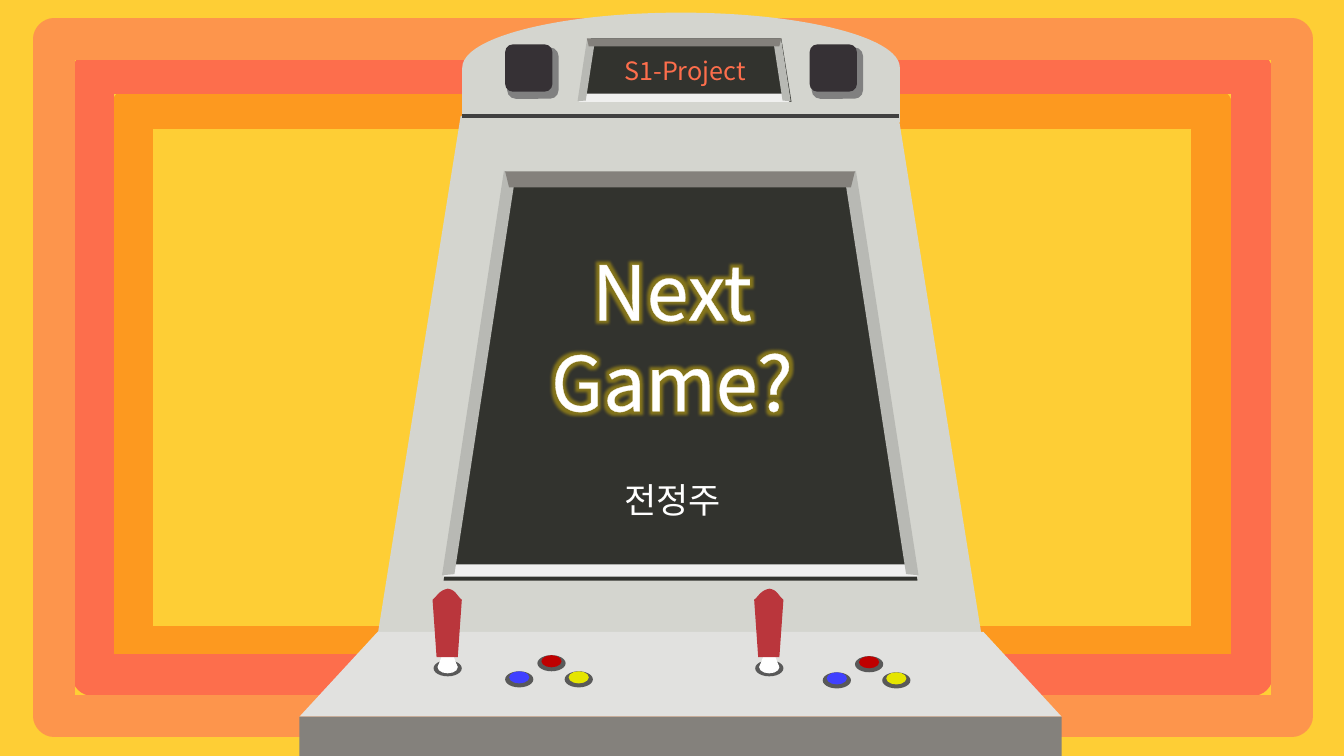
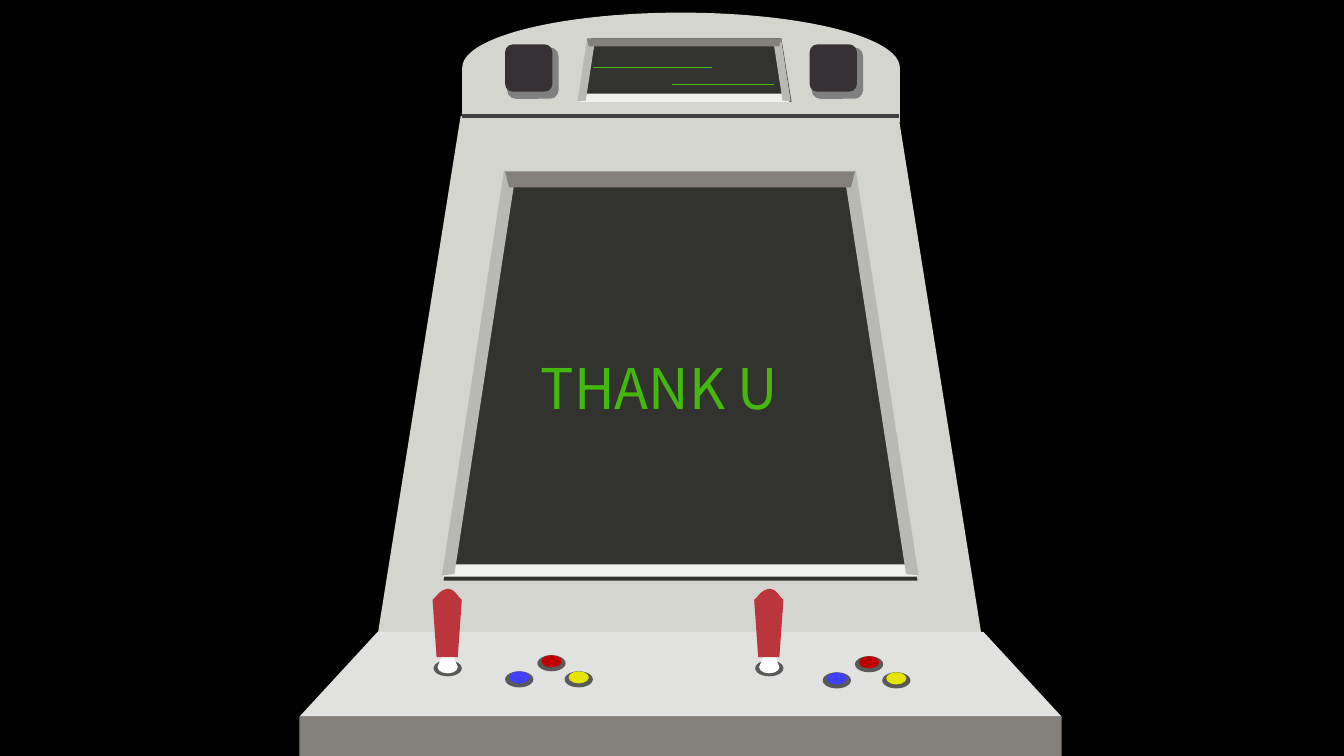
from lxml import etree
from pptx import Presentation
from pptx import util as u
from pptx.dml.color import RGBColor
from pptx.enum import shapes, text
from pptx.oxml import ns

COLORS = {
    "yellow": "FECE35", "amber": "FD991F", "coral": "FD6E4C", "orange": "FD954C",
    "black": "000000", "white": "FFFFFF", "green": "44B80D", "cream": "FAF3DB",
    "glow": "FFD700", "cabinet": "D4D5CF", "screen": "32332E", "seam": "404040",
    "ledge": "F0F0EF", "side": "B8B9B4", "shade": "84817C", "panel": "E1E1DF",
    "socket": "595959", "stick": "BA363C", "red": "BF0000", "lemon": "E5E500",
    "blue": "4040FF", "speaker": "363135", "speaker_shade": "808080",
}
FONT = "Noto Sans CJK KR"
TITLE_ONLY = 5
SHAPE = shapes.MSO_SHAPE


def color(name):
    return RGBColor.from_string(COLORS[name])


def curve(start, first, second, end, steps=10):
    for step in range(1, steps + 1):
        t = step / steps
        weights = ((1 - t) ** 3, 3 * t * (1 - t) ** 2, 3 * t * t * (1 - t), t ** 3)
        yield tuple(sum(w * point[axis] for w, point in zip(weights, (start, first, second, end)))
                    for axis in (0, 1))


class Arcade:
    def __init__(self):
        self.deck = Presentation()
        self.deck.slide_width = u.Inches(13.33)
        self.deck.slide_height = u.Inches(7.5)
        self.page = None

    def new_page(self, background):
        self.page = self.deck.slides.add_slide(self.deck.slide_layouts[TITLE_ONLY])
        fill = self.page.background.fill
        fill.solid()
        fill.fore_color.rgb = color(background)

    def shape(self, kind, at, fill, adjust=None, rotation=0, flip=None):
        box = self.page.shapes.add_shape(kind, *map(u.Inches, at))
        self.paint(box, fill)
        if adjust is not None:
            box.adjustments[0] = adjust
        box.rotation = rotation
        if flip:
            box.element.spPr.find(ns.qn("a:xfrm")).set(flip, "1")
        return box

    def paint(self, box, fill):
        box.shadow.inherit = False
        box.fill.solid()
        box.fill.fore_color.rgb = color(fill)
        box.line.fill.background()

    def frame(self, at, stroke):
        box = self.shape(SHAPE.RECTANGLE, at, stroke)
        box.fill.background()
        box.line.color.rgb = color(stroke)
        box.line.width = u.Pt(30)
        etree.SubElement(box.element.spPr.find(ns.qn("a:ln")), ns.qn("a:round"))

    def line(self, left, right, y, stroke, width):
        line = self.page.shapes.add_connector(
            shapes.MSO_CONNECTOR.STRAIGHT, *map(u.Inches, (left, y, right, y)))
        line.line.color.rgb = color(stroke)
        line.line.width = u.Pt(width)
        etree.SubElement(line.element.spPr, ns.qn("a:effectLst"))

    def set_text(self, box, words, size, ink):
        frame = box.text_frame
        frame.text = words
        frame.word_wrap = True
        frame.auto_size = text.MSO_AUTO_SIZE.NONE
        frame.vertical_anchor = text.MSO_ANCHOR.TOP
        for para in frame.paragraphs:
            para.alignment = text.PP_ALIGN.CENTER
            for span in para.runs:
                span.font.size = u.Pt(size)
                span.font.name = FONT
                span.font.color.rgb = color(ink)
                east = etree.SubElement(span.font._element, ns.qn("a:ea"))
                east.set("typeface", FONT)

    def label(self, at, words, size, ink):
        box = self.page.shapes.add_textbox(*map(u.Inches, at))
        self.set_text(box, words, size, ink)

    def title(self, at, words, size, ink):
        box = self.page.shapes.title
        box.left, box.top, box.width, box.height = map(u.Inches, at)
        box.element.getparent().append(box.element)
        self.set_text(box, words, size, ink)
        return box

    def neon(self, box):
        for para in box.text_frame.paragraphs:
            for span in para.runs:
                props = span.font._element
                outline = etree.Element(ns.qn("a:ln"), w=str(u.Pt(0.75)))
                stroke = etree.SubElement(outline, ns.qn("a:solidFill"))
                etree.SubElement(stroke, ns.qn("a:srgbClr"), val=COLORS["cream"])
                effects = etree.Element(ns.qn("a:effectLst"))
                glow = etree.SubElement(effects, ns.qn("a:glow"), rad=str(u.Pt(8)))
                tint = etree.SubElement(glow, ns.qn("a:srgbClr"), val=COLORS["glow"])
                etree.SubElement(tint, ns.qn("a:alpha"), val="40000")
                props.insert(0, outline)
                props.find(ns.qn("a:solidFill")).addnext(effects)

    def screen(self, face, ledge, right, left, top):
        trapezoid = SHAPE.TRAPEZOID
        self.shape(trapezoid, face, "screen", 0.16)
        self.shape(trapezoid, ledge, "ledge", 0.25)
        self.shape(trapezoid, right, "side", 0.25, 261.2, "flipH")
        self.shape(trapezoid, left, "side", 0.25, 278.7, "flipV")
        self.shape(trapezoid, top, "shade", 0.25, flip="flipV")

    def joystick(self, x, y=5.84):
        self.shape(SHAPE.OVAL, (x + 0.01, y + 0.71, 0.28, 0.16), "socket")
        self.shape(SHAPE.OVAL, (x + 0.05, y + 0.72, 0.2, 0.12), "white")
        self.shape(SHAPE.ISOSCELES_TRIANGLE, (x + 0.05, y + 0.52, 0.2, 0.26), "white")
        start, corner, tip = (0, 0.11), (0.29, 0.11), (0.15, 0)
        outline = [(0.04, 0.68), (0.25, 0.68), corner]
        outline += curve(corner, (0.24, 0.07), (0.23, 0.01), tip)
        outline += curve(tip, (0.06, 0.02), (0.05, 0.07), start)
        points = [(u.Inches(x + dx), u.Inches(y + dy)) for dx, dy in [start] + outline]
        builder = self.page.shapes.build_freeform(*points[0])
        builder.add_line_segments(points[1:])
        self.paint(builder.convert_to_shape(), "stick")

    def buttons(self, x, y):
        for dx, dy, cap in ((0.32, 0, "red"), (0.59, 0.16, "lemon"), (0, 0.16, "blue")):
            self.shape(SHAPE.OVAL, (x + dx, y + dy, 0.28, 0.16), "socket")
            self.shape(SHAPE.OVAL, (x + dx + 0.04, y + dy, 0.2, 0.12), cap)

    def speaker(self, x, y=0.44):
        for offset, rise, size, fill in ((0.02, 0.03, 0.51, "speaker_shade"),
                                         (0, 0, 0.47, "speaker")):
            self.shape(SHAPE.ROUNDED_RECTANGLE, (x + offset, y + rise, size, size), fill, 0.167)

    def cabinet(self):
        self.shape(SHAPE.TRAPEZOID, (3.75, 1.15, 5.98, 5.12), "cabinet", 0.16)
        self.shape(SHAPE.FLOWCHART_DELAY, (6.21, -1.5, 1.09, 4.34), "cabinet", rotation=270)
        self.line(4.58, 8.92, 1.15, "seam", 3)
        self.screen((4.4, 1.74, 4.7, 4.02), (4.4, 5.6, 4.7, 0.12), (6.71, 3.65, 4.06, 0.12),
                    (2.72, 3.65, 4.06, 0.12), (5.01, 1.7, 3.47, 0.16))
        self.shape(SHAPE.TRAPEZOID, (2.97, 6.27, 7.56, 0.84), "panel", 0.922)
        self.shape(SHAPE.RECTANGLE, (2.97, 7.11, 7.56, 0.39), "shade")
        for x in (4.29, 7.48):
            self.joystick(x)
        self.buttons(5.01, 6.5)
        self.buttons(8.16, 6.51)
        self.screen((5.76, 0.38, 2.09, 0.63), (5.74, 0.93, 2.09, 0.08), (7.44, 0.66, 0.63, 0.08),
                    (5.5, 0.66, 0.63, 0.08), (5.82, 0.38, 1.93, 0.08))
        for x in (5.01, 8.03):
            self.speaker(x)


def main():
    arcade = Arcade()

    arcade.new_page("yellow")
    arcade.frame((1.31, 1.07, 10.71, 5.35), "amber")
    arcade.frame((0.92, 0.72, 11.5, 5.98), "coral")
    arcade.frame((0.54, 0.39, 12.27, 6.71), "orange")
    arcade.cabinet()
    arcade.label((4.66, 4.7, 4.02, 0.52), "전정주", 25, "white")
    heading = arcade.title((4.76, 2.38, 3.81, 1.92), "Next\nGame?", 54, "white")
    arcade.neon(heading)
    arcade.label((5.86, 0.5, 1.87, 0.4), "S1-Project", 18, "coral")

    arcade.new_page("black")
    arcade.cabinet()
    arcade.line(5.88, 7.06, 0.67, "green", 1)
    arcade.line(6.67, 7.68, 0.84, "green", 1)
    arcade.title((4.74, 3.46, 3.6, 0.77), "THANK U", 40, "green")

    arcade.deck.save("out.pptx")


if __name__ == "__main__":
    main()
